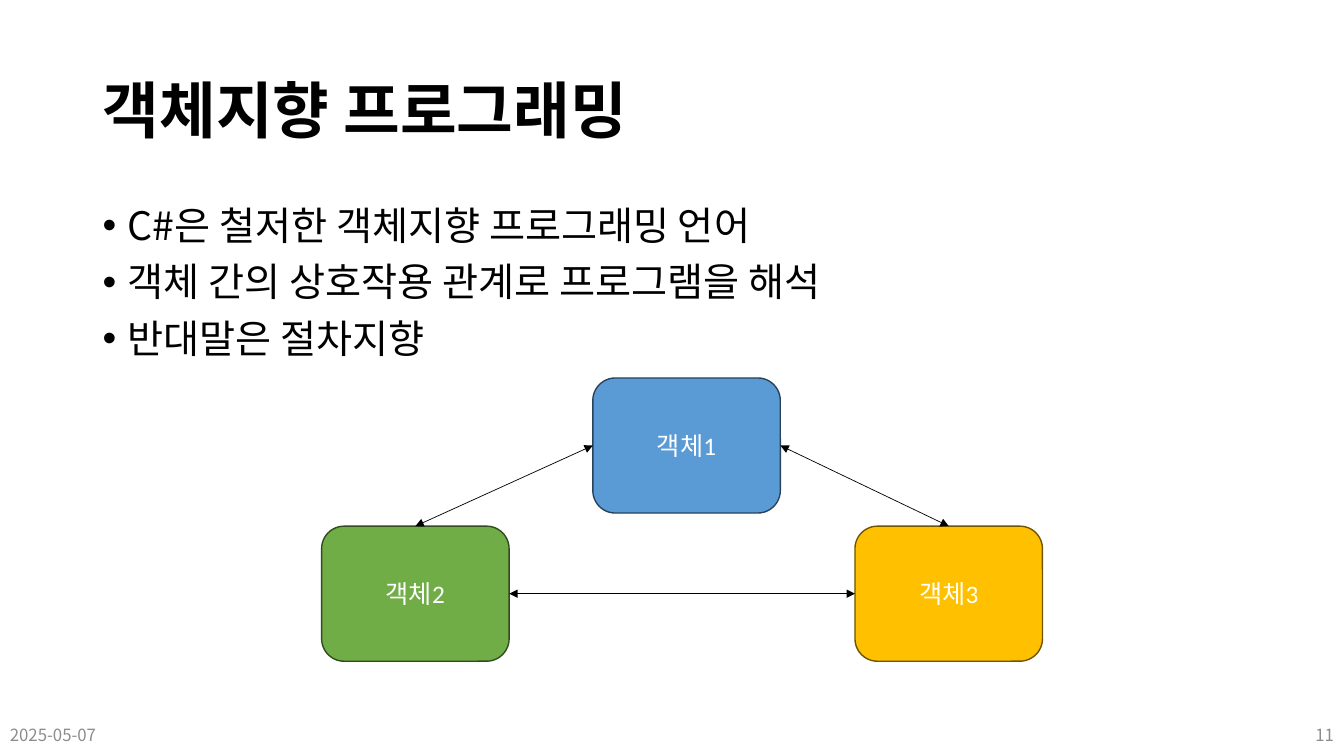
"""Build the slide on object-oriented programming with three linked objects."""
from lxml.etree import SubElement
from pptx import Presentation
from pptx.dml.color import RGBColor
from pptx.enum.shapes import MSO_CONNECTOR as Connector, MSO_SHAPE as Shape
from pptx.enum.text import MSO_ANCHOR as Anchor, PP_ALIGN as Align
from pptx.oxml.ns import qn
from pptx.util import Inches, Pt

COLORS = {
    "text": "000000", "footer": "8C8C8C", "label": "FFFFFF",
    "blue": "5B9BD5", "blue_edge": "28445D",
    "green": "70AD47", "green_edge": "314C1F",
    "gold": "FFC000", "gold_edge": "705400",
}
KOREAN = "Noto Sans CJK KR"
TOP, LEFT, RIGHT = 0, 1, 3


def color(name):
    return RGBColor.from_string(COLORS[name])


def write(shape, lines, anchor, formats, size, shade, bold=False, font=KOREAN, bullet=False):
    frame = shape.text_frame
    frame.word_wrap = True
    frame.vertical_anchor = anchor
    frame.text = "\n".join(lines)
    for index, paragraph in enumerate(frame.paragraphs):
        if bullet:
            properties = paragraph._p.get_or_add_pPr()
            properties.set("marL", str(Inches(0.25)))
            properties.set("indent", str(-Inches(0.25)))
            SubElement(properties, qn("a:buFont"), typeface="Arial")
            SubElement(properties, qn("a:buChar"), char="•")
            paragraph.space_before = Pt(10 if index else 0)
        for name, value in formats.items():
            setattr(paragraph, name, value)
        for run in paragraph.runs:
            for name, value in {"size": Pt(size), "bold": bold, "name": font}.items():
                setattr(run.font, name, value)
            run.font.color.rgb = color(shade)
            SubElement(run._r.get_or_add_rPr(), qn("a:ea"), typeface=KOREAN)


presentation = Presentation()
presentation.slide_width = width = Inches(13.33)
presentation.slide_height = height = Inches(7.5)
slide = presentation.slides.add_slide(presentation.slide_layouts[6])

margin = Inches(0.92)
content_width = width - 2 * margin
title = slide.shapes.add_textbox(margin, Inches(0.4), content_width, Inches(1.45))
write(title, ["객체지향 프로그래밍"], Anchor.MIDDLE, {"line_spacing": 0.9}, 44, "text", bold=True)

body = slide.shapes.add_textbox(margin, Inches(2), content_width, Inches(4.76))
points = [
    "C#은 철저한 객체지향 프로그래밍 언어",
    "객체 간의 상호작용 관계로 프로그램을 해석",
    "반대말은 절차지향",
]
write(body, points, Anchor.TOP, {"line_spacing": 0.9}, 28, "text", bullet=True)

footer_width = Inches(3)
footers = [("2025-05-07", 0, Align.LEFT), ("11", width - footer_width, Align.RIGHT)]
for text, left, alignment in footers:
    footer = slide.shapes.add_textbox(left, Inches(7.09), footer_width, Inches(0.4))
    write(footer, [text], Anchor.MIDDLE, {"alignment": alignment}, 12, "footer")

upper_row, lower_row = Inches(3.75), Inches(5.22)
objects = {}
for text, left, top, fill in [
    ("객체2", 3.19, lower_row, "green"),
    ("객체1", 5.88, upper_row, "blue"),
    ("객체3", 8.48, lower_row, "gold"),
]:
    box = slide.shapes.add_shape(
        Shape.ROUNDED_RECTANGLE, Inches(left), top, Inches(1.86), Inches(1.34))
    box.shadow.inherit = False
    box.fill.solid()
    box.fill.fore_color.rgb = color(fill)
    box.line.color.rgb = color(fill + "_edge")
    box.line.width = Pt(1)
    write(box, [text], Anchor.MIDDLE, {"alignment": Align.CENTER}, 18, "label", font="Calibri")
    objects[text] = box

for start, start_side, end, end_side in [
    ("객체2", TOP, "객체1", LEFT),
    ("객체1", RIGHT, "객체3", TOP),
    ("객체2", RIGHT, "객체3", LEFT),
]:
    arrow = slide.shapes.add_connector(Connector.STRAIGHT, 0, 0, 0, 0)
    arrow.begin_connect(objects[start], start_side)
    arrow.end_connect(objects[end], end_side)
    arrow.line.color.rgb = color("text")
    arrow.line.width = Pt(0.5)
    for tip in ("a:headEnd", "a:tailEnd"):
        SubElement(arrow.line._get_or_add_ln(), qn(tip), type="triangle")
    SubElement(arrow._element.spPr, qn("a:effectLst"))

presentation.save("out.pptx")
